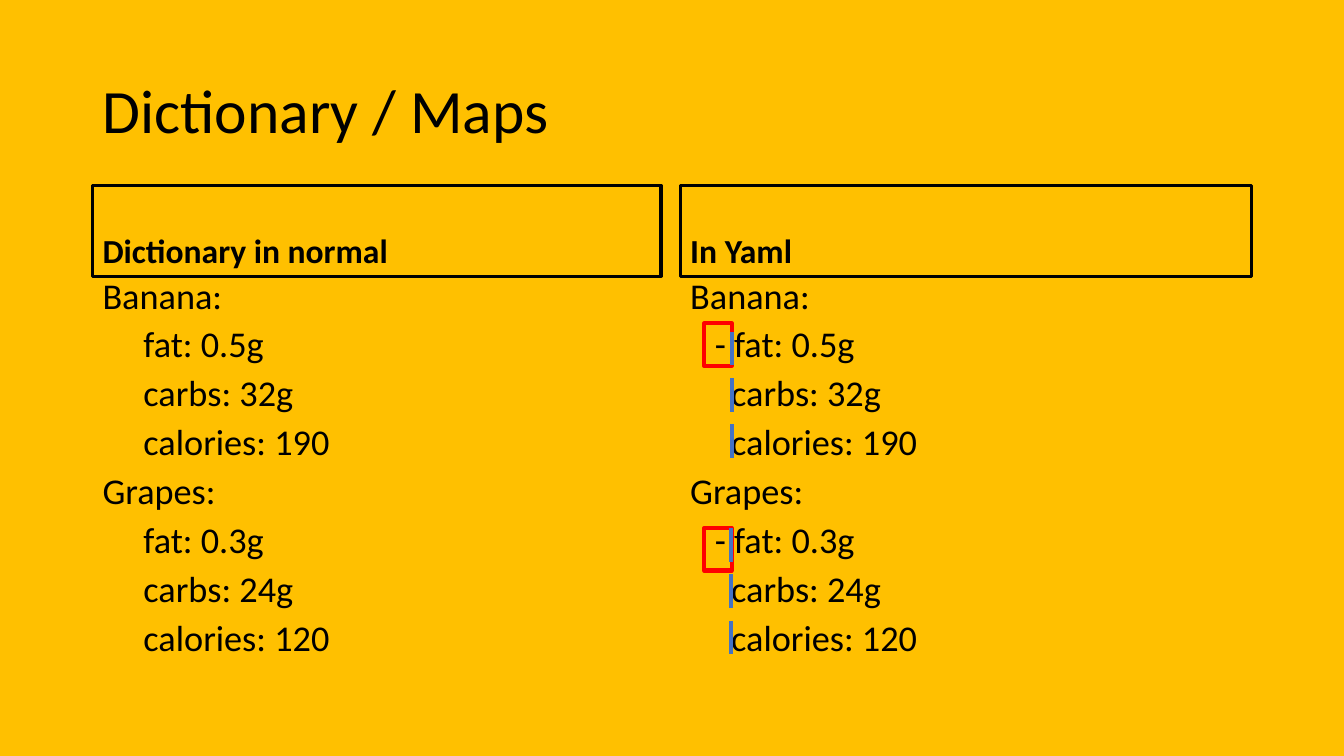
from lxml.etree import SubElement
from pptx import Presentation
from pptx.dml.color import RGBColor
from pptx.enum.dml import MSO_LINE
from pptx.enum.shapes import MSO_CONNECTOR, MSO_SHAPE
from pptx.enum.text import MSO_ANCHOR, MSO_AUTO_SIZE, PP_ALIGN
from pptx.oxml.ns import qn
from pptx.util import Cm, Pt

AMBER = RGBColor(0xFF, 0xC0, 0x00)
BLACK = RGBColor(0x00, 0x00, 0x00)
RED = RGBColor(0xFF, 0x00, 0x00)
BLUE = RGBColor(0x44, 0x72, 0xC4)

COMPARISON_LAYOUT = 4
DASH_INDENT = 0.62
ENTRY_INDENT = 1.03

FOODS = {
    "Banana:": ["fat: 0.5g", "carbs: 32g", "calories: 190"],
    "Grapes:": ["fat: 0.3g", "carbs: 24g", "calories: 120"],
}


class ComparisonSlide:
    """Holds the slide and the style shared by its elements."""

    font = "Calibri"
    ink = BLACK

    def __init__(self, deck):
        self.slide = deck.slides.add_slide(deck.slide_layouts[COMPARISON_LAYOUT])
        background = self.slide.background.fill
        background.solid()
        background.fore_color.rgb = AMBER

    def set_text(self, paragraph, text, size, bold=False, spacing=0.9, before=0, indent=0):
        properties = paragraph._p.get_or_add_pPr()
        properties.set("marL", str(Cm(indent)))
        properties.set("indent", "0")
        SubElement(properties, qn("a:buNone"))
        paragraph.text = text
        paragraph.alignment = PP_ALIGN.LEFT
        paragraph.line_spacing = spacing
        paragraph.space_before = Pt(before)
        paragraph.font.name = self.font
        paragraph.font.size = Pt(size)
        paragraph.font.bold = bold
        paragraph.font.color.rgb = self.ink

    def placeholder(self, number, left, top, width, height, anchor):
        holder = self.slide.placeholders[number]
        holder.left, holder.top = Cm(left), Cm(top)
        holder.width, holder.height = Cm(width), Cm(height)
        frame = holder.text_frame
        frame.word_wrap = True
        frame.auto_size = MSO_AUTO_SIZE.NONE
        frame.vertical_anchor = anchor
        return holder

    def title(self, text):
        holder = self.placeholder(0, 2.33, 1.01, 29.21, 3.68, MSO_ANCHOR.MIDDLE)
        self.set_text(holder.text_frame.paragraphs[0], text, size=44)

    def heading(self, number, text, left, width):
        holder = self.placeholder(number, left, 4.67, width, 2.29, MSO_ANCHOR.BOTTOM)
        holder.fill.background()
        holder.line.color.rgb = self.ink
        holder.line.width = Pt(2.25)
        self.set_text(holder.text_frame.paragraphs[0], text, size=24, bold=True)

    def listing(self, number, rows, left, width):
        """Fill a body placeholder with (text, indent) rows."""
        frame = self.placeholder(number, left, 6.96, width, 10.24, MSO_ANCHOR.TOP).text_frame
        for position, (text, indent) in enumerate(rows):
            paragraph = frame.add_paragraph() if position else frame.paragraphs[0]
            self.set_text(paragraph, text, size=25.9, spacing=0.8,
                          before=10 if position else 0, indent=indent)

    def dash_frame(self, left, top):
        frame = self.slide.shapes.add_shape(
            MSO_SHAPE.RECTANGLE, Cm(left), Cm(top), Cm(0.69), Cm(1.07))
        frame.shadow.inherit = False
        frame.fill.background()
        frame.line.color.rgb = RED
        frame.line.width = Pt(3)

    def indent_guide(self, x, top):
        guide = self.slide.shapes.add_connector(
            MSO_CONNECTOR.STRAIGHT, Cm(x), Cm(top), Cm(x), Cm(top + 3.2))
        guide.line.color.rgb = BLUE
        guide.line.width = Pt(3)
        guide.line.dash_style = MSO_LINE.LONG_DASH
        SubElement(guide._element.spPr, qn("a:effectLst"))


def food_rows(dashed):
    """List the foods, with a dash before each first entry if dashed."""
    rows = []
    for food, entries in FOODS.items():
        rows.append((food, 0))
        for position, entry in enumerate(entries):
            if dashed and position == 0:
                rows.append(("- " + entry, DASH_INDENT))
            else:
                rows.append((entry, ENTRY_INDENT))
    return rows


def main():
    deck = Presentation()
    deck.slide_width, deck.slide_height = Cm(33.87), Cm(19.05)
    page = ComparisonSlide(deck)
    page.title("Dictionary / Maps")
    columns = [
        (1, "Dictionary in normal", 2.33, 14.33, False),
        (3, "In Yaml", 17.14, 14.4, True),
    ]
    for number, heading, left, width, dashed in columns:
        page.heading(number, heading, left, width)
        page.listing(number + 1, food_rows(dashed), left, width)
    for top in (8.15, 13.31):
        page.dash_frame(17.75, top)
    for x, top in ((18.44, 8.36), (18.42, 13.31)):
        page.indent_guide(x, top)
    deck.save("out.pptx")


if __name__ == "__main__":
    main()
